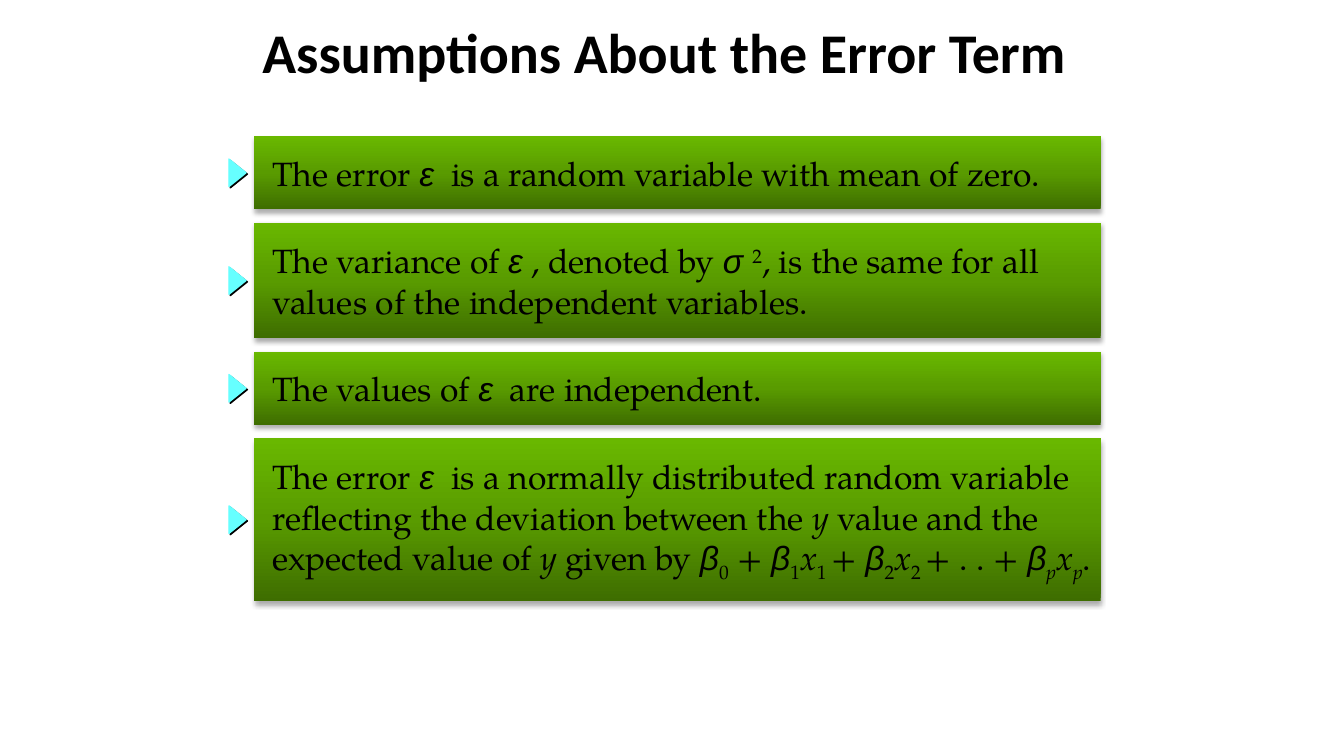
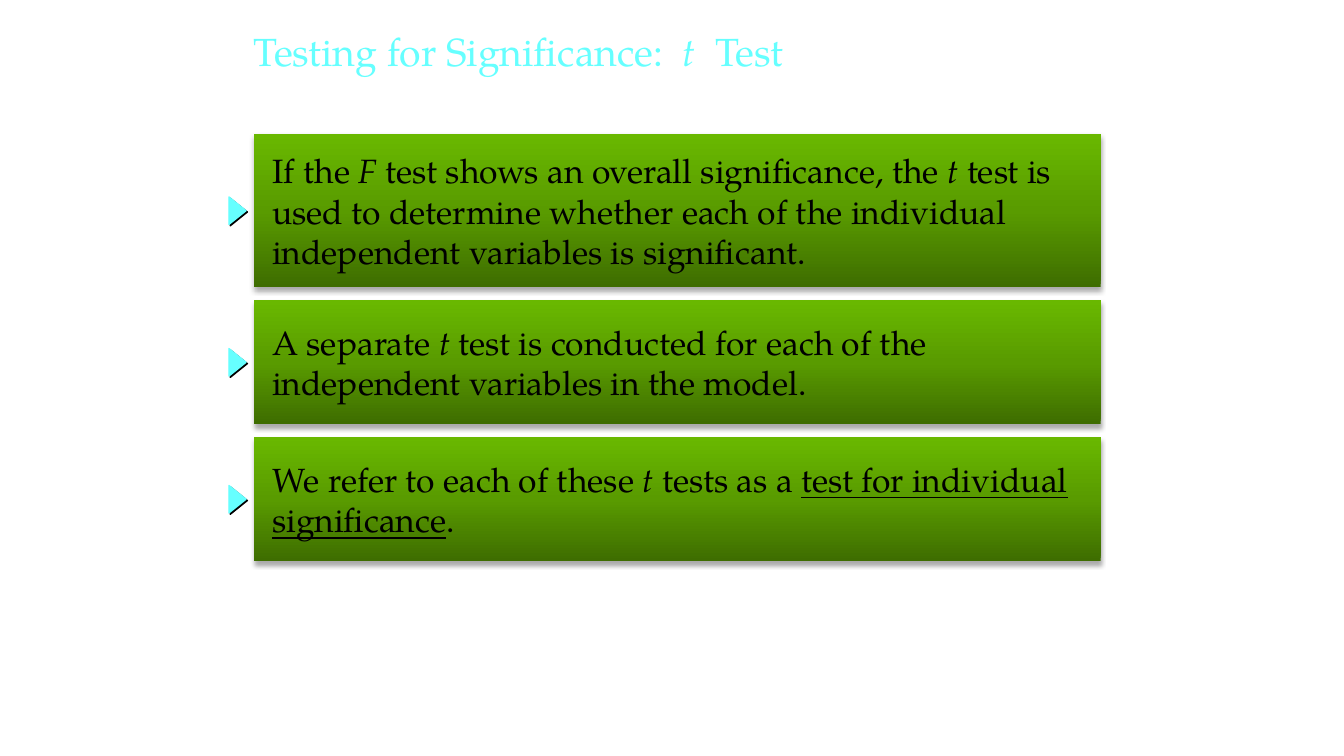
"""Two regression slides: error term assumptions and the t test."""
from copy import deepcopy
from dataclasses import dataclass

from lxml.etree import SubElement
from pptx import Presentation
from pptx.dml.color import RGBColor
from pptx.enum.shapes import MSO_SHAPE
from pptx.enum.text import MSO_ANCHOR, PP_ALIGN
from pptx.oxml.ns import qn
from pptx.util import Cm, Pt


@dataclass(frozen=True)
class Theme:
    ink: str = "000000"
    cyan: str = "66FFFF"
    greens: tuple = ("3E6D00", "599B00", "69B800")
    serif: str = "TeX Gyre Pagella"
    greek: str = "Arial"
    heading: str = "Calibri"
    body_size: int = 24
    bold_title_size: int = 40
    plain_title_size: int = 28


theme = Theme()

STYLES = {
    "plain": {},
    "italic": {"italic": True},
    "greek": {"italic": True, "name": theme.greek},
    "underline": {"underline": True},
    "super": {"baseline": 30},
    "sub": {"baseline": -25},
    "italic sub": {"italic": True, "baseline": -25},
    "heading": {"bold": True, "name": theme.heading},
}


def add_spans(para, spans, size, color):
    for text, style in spans:
        span = para.add_run()
        span.text = text
        span.font.size = Pt(size)
        span.font.color.rgb = RGBColor.from_string(color)
        look = {"name": theme.serif, **STYLES[style]}
        baseline = look.pop("baseline", 0)
        for attribute, value in look.items():
            setattr(span.font, attribute, value)
        if baseline:
            span.font._element.set("baseline", str(baseline * 1000))


def add_shadow(shape, opacity, blur, distance, angle):
    shape.shadow.inherit = False
    effects = shape._element.spPr.find(qn("a:effectLst"))
    shadow = SubElement(effects, qn("a:outerShdw"), blurRad=str(Pt(blur)), dist=str(Pt(distance)),
                        dir=str(angle * 60000), algn="ctr", rotWithShape="0")
    color = SubElement(shadow, qn("a:srgbClr"), val=theme.ink)
    SubElement(color, qn("a:alpha"), val=str(opacity * 1000))


EPSILON = ("ε", "greek")
BETA = ("β", "greek")
X = ("x", "italic")
Y = ("y", "italic")
T = ("t", "italic")

SLIDES = [
    {
        "title": [("Assumptions About the Error Term", "heading")],
        "title_left": 5.94,
        "title_size": theme.bold_title_size,
        "title_color": theme.ink,
        "align": PP_ALIGN.CENTER,
        "top": 3.43,
        "statements": [
            (1.85, [[("The error ", "plain"), EPSILON,
                     ("  is a random variable with mean of zero.", "plain")]]),
            (2.92, [[("The variance of ", "plain"), EPSILON, (" , denoted by ", "plain"),
                     ("σ ", "greek"), ("2", "super"), (", is the same for all", "plain")],
                    [("values of the independent variables.", "plain")]]),
            (1.85, [[("The values of ", "plain"), EPSILON, ("  are independent.", "plain")]]),
            (4.11, [[("The error ", "plain"), EPSILON,
                     ("  is a normally distributed random variable", "plain")],
                    [("reflecting the deviation between the ", "plain"), Y,
                     (" value and the", "plain")],
                    [("expected value of ", "plain"), Y, (" given by ", "plain"),
                     BETA, ("0", "sub"), (" + ", "plain"),
                     BETA, ("1", "sub"), X, ("1 ", "sub"), ("+ ", "plain"),
                     BETA, ("2", "sub"), X, ("2 ", "sub"), ("+ . . + ", "plain"),
                     BETA, ("p", "italic sub"), X, ("p", "italic sub"), (".", "plain")]]),
        ],
    },
    {
        "title": [("Testing for Significance:  ", "plain"), ("t ", "italic"), (" Test", "plain")],
        "title_left": 6.15,
        "title_size": theme.plain_title_size,
        "title_color": theme.cyan,
        "align": PP_ALIGN.LEFT,
        "top": 3.38,
        "statements": [
            (3.86, [[("If the ", "plain"), ("F", "italic"),
                     (" test shows an overall significance, the ", "plain"), T,
                     (" test is", "plain")],
                    [("used to determine whether each of the individual", "plain")],
                    [("independent variables is significant.", "plain")]]),
            (3.12, [[("A separate ", "plain"), T, (" test is conducted for each of the", "plain")],
                    [("independent variables in the model.", "plain")]]),
            (3.12, [[("We refer to each of these ", "plain"), T, (" tests as a ", "plain"),
                     ("test for individual", "underline")],
                    [("significance", "underline"), (".", "plain")]]),
        ],
    },
]

BOX_LEFT, BOX_WIDTH, BOX_GAP = 6.4, 21.34, 0.33
MARKER_LEFT, MARKER_WIDTH, MARKER_HEIGHT = 5.64, 0.69, 0.43

deck = Presentation()
deck.slide_width, deck.slide_height = Cm(33.87), Cm(19.05)

for content in SLIDES:
    page = deck.slides.add_slide(deck.slide_layouts[6])

    title = page.shapes.add_textbox(Cm(content["title_left"]), Cm(0.15), Cm(21.59), Cm(2.26))
    title.text_frame.word_wrap = True
    title.text_frame.vertical_anchor = MSO_ANCHOR.MIDDLE
    para = title.text_frame.paragraphs[0]
    para.alignment = content["align"]
    add_spans(para, content["title"], content["title_size"], content["title_color"])

    top = content["top"]
    for height, lines in content["statements"]:
        box = page.shapes.add_shape(MSO_SHAPE.RECTANGLE, Cm(BOX_LEFT), Cm(top), Cm(BOX_WIDTH), Cm(height))
        box.line.fill.background()
        box.fill.gradient()
        box.fill.gradient_angle = 90
        stop_list = box._element.spPr.find(".//" + qn("a:gsLst"))
        stop_list.append(deepcopy(stop_list[0]))
        for index, stop in enumerate(box.fill.gradient_stops):
            stop.color.rgb = RGBColor.from_string(theme.greens[index])
            stop.position = index / 2
        add_shadow(box, 32, 3.5, 2.2, 90)

        frame = box.text_frame
        frame.word_wrap = True
        frame.vertical_anchor = MSO_ANCHOR.MIDDLE
        frame.margin_left, frame.margin_right = Cm(0.46), Cm(0)
        para = frame.paragraphs[0]
        para.alignment = PP_ALIGN.LEFT
        for number, spans in enumerate(lines):
            if number:
                para.add_line_break()
            add_spans(para, spans, theme.body_size, theme.ink)

        marker = page.shapes.add_shape(
            MSO_SHAPE.ISOSCELES_TRIANGLE, Cm(MARKER_LEFT), Cm(top + (height - MARKER_HEIGHT) / 2),
            Cm(MARKER_WIDTH), Cm(MARKER_HEIGHT))
        marker.rotation = 90
        marker.fill.solid()
        marker.fill.fore_color.rgb = RGBColor.from_string(theme.cyan)
        marker.line.color.rgb = RGBColor.from_string(theme.cyan)
        marker.line.width = Pt(1)
        add_shadow(marker, 100, 0, 1.4, 45)
        top += height + BOX_GAP

deck.save("out.pptx")
